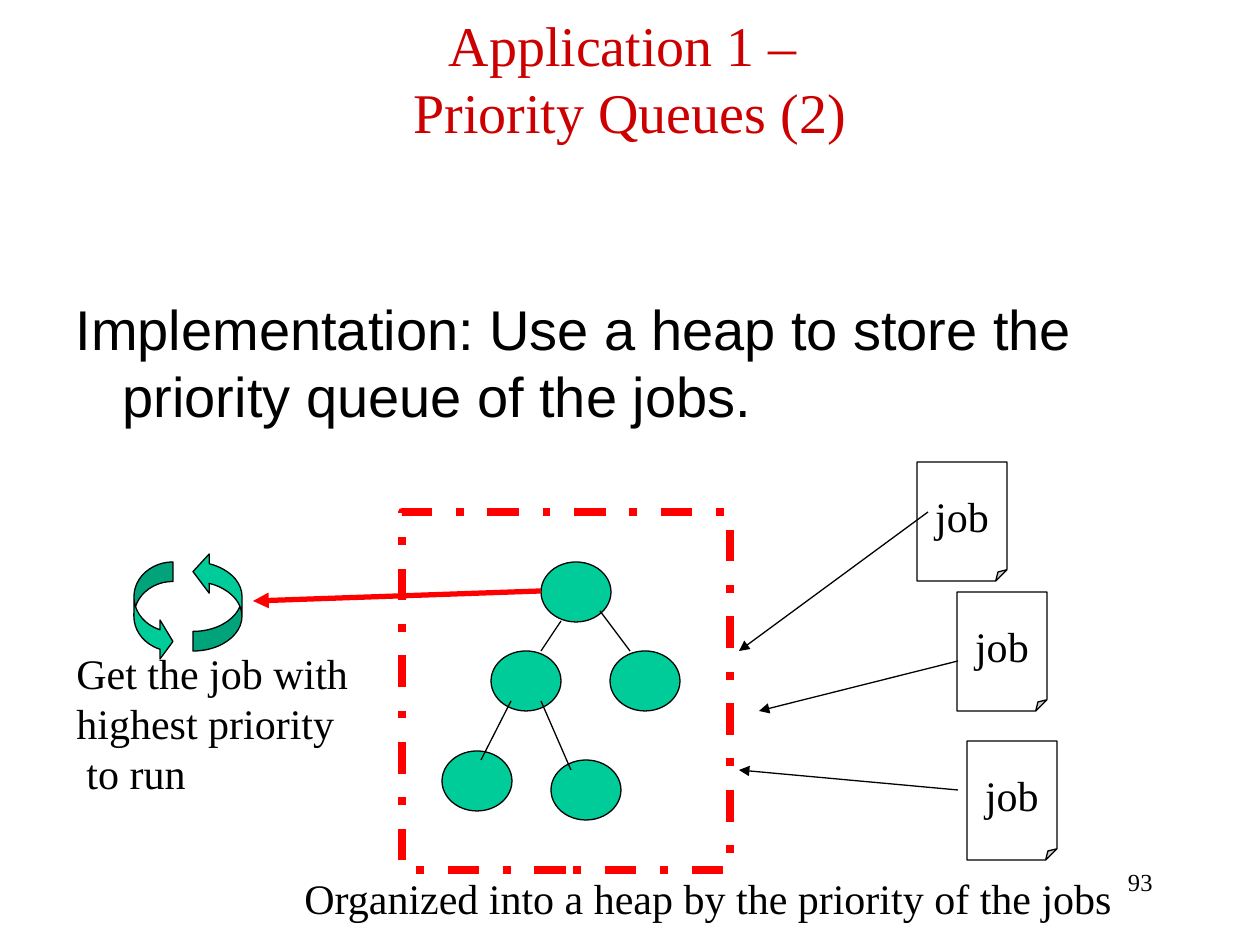
from lxml.etree import SubElement
from pptx import Presentation
from pptx.dml.color import RGBColor
from pptx.enum.dml import MSO_LINE
from pptx.enum.shapes import MSO_CONNECTOR, MSO_SHAPE as Shape
from pptx.enum.text import MSO_ANCHOR as Anchor, MSO_AUTO_SIZE as AutoSize, PP_ALIGN as Align
from pptx.oxml.ns import qn
from pptx.util import Emu, Pt

PX = 914400 / 126
BLACK = RGBColor(0, 0, 0)
WHITE = RGBColor(255, 255, 255)
RED = RGBColor(255, 0, 0)
TITLE_RED = RGBColor(204, 0, 0)
GREEN = RGBColor(0, 204, 153)
SERIF, SANS = "Times New Roman", "Arial"

NODE_SIZE = (70, 60)
NODES = [(541, 562), (491, 651), (610, 651), (442, 751), (551, 760)]
EDGES = [((561, 621), (541, 651)), ((600, 611), (630, 651)),
         ((511, 701), (481, 760)), ((541, 701), (571, 770))]
JOB_SIZE = (90, 119)
JOBS = [(917, 462), (957, 592), (967, 741)]
JOB_ARROWS = [((928, 512), (739, 651)), ((958, 661), (759, 711)),
              ((958, 790), (739, 770))]


def px(*lengths):
    return [Emu(round(length * PX)) for length in lengths]


def apply(target, values):
    for name, value in values.items():
        setattr(target, name, value)


def write(box, lines, size=24, font=SERIF, color=BLACK, align=Align.LEFT,
          anchor=Anchor.TOP, wrap=True):
    """Fill the text frame of a shape, one paragraph for each line."""
    frame = box.text_frame
    apply(frame, {"auto_size": AutoSize.NONE, "word_wrap": wrap,
                  "vertical_anchor": anchor})
    for index, line in enumerate(lines):
        para = frame.paragraphs[0] if index == 0 else frame.add_paragraph()
        para.text = line
        apply(para, {"alignment": align, "space_before": Pt(0)})
        for span in para.runs:
            apply(span.font, {"size": Pt(size), "name": font})
            span.font.color.rgb = color
    return frame


def indent(para, left, first=0):
    left, first = px(left, first)
    properties = para._p.get_or_add_pPr()
    properties.set("marL", str(left))
    properties.set("indent", str(first))
    return properties


def place(box, *area):
    apply(box, dict(zip(("left", "top", "width", "height"), px(*area))))


def add_label(page, area, lines, **style):
    return write(page.shapes.add_textbox(*px(*area)), lines, **style)


def add_figure(page, kind, area, fill=None, line=BLACK, weight=0.75):
    figure = page.shapes.add_shape(kind, *px(*area))
    figure.shadow.inherit = False
    if fill is None:
        figure.fill.background()
    else:
        figure.fill.solid()
        figure.fill.fore_color.rgb = fill
    figure.line.color.rgb = line
    figure.line.width = Pt(weight)
    return figure


def add_curved_arrow(page, area, adjustments):
    arrow = add_figure(page, Shape.CURVED_RIGHT_ARROW, area, GREEN)
    for index, value in enumerate(adjustments):
        arrow.adjustments[index] = value
    return arrow


def add_line(page, start, end, color=BLACK, weight=0.75, arrow=False):
    line = page.shapes.add_connector(MSO_CONNECTOR.STRAIGHT, *px(*start, *end))
    line.line.color.rgb = color
    line.line.width = Pt(weight)
    if arrow:
        SubElement(line.line._get_or_add_ln(), qn("a:tailEnd"), type="triangle")
    SubElement(line._element.spPr, qn("a:effectLst"))


def add_heading(page):
    title, body = page.placeholders
    place(title, 63, 30, 1134, 95)
    write(title, ["Application 1 – \vPriority Queues (2)"], size=32,
          color=TITLE_RED, align=Align.CENTER, anchor=Anchor.MIDDLE)
    place(body, 63, 288, 1053, 225)
    frame = write(body, ["Implementation: Use a heap to store the "
                         "priority queue of the jobs."], size=32, font=SANS)
    SubElement(indent(frame.paragraphs[0], 47, -47), qn("a:buNone"))


def add_jobs(page):
    for corner in JOBS:
        job = add_figure(page, Shape.FOLDED_CORNER, corner + JOB_SIZE, WHITE)
        guides = job._element.spPr.find(".//" + qn("a:avLst"))
        SubElement(guides, qn("a:gd"), name="adj", fmla="val 12500")
        write(job, ["job"], align=Align.CENTER, anchor=Anchor.MIDDLE, wrap=False)


def add_heap(page):
    for corner in NODES:
        add_figure(page, Shape.OVAL, corner + NODE_SIZE, GREEN)
    for start, end in EDGES:
        add_line(page, start, end)
    frame = add_figure(page, Shape.RECTANGLE, (402, 512, 328, 358),
                       line=RED, weight=4.5)
    frame.line.dash_style = MSO_LINE.DASH_DOT
    for start, end in JOB_ARROWS:
        add_line(page, start, end, arrow=True)
    add_label(page, (292, 866, 833, 63),
              ["Organized into a heap by the priority of the jobs"], wrap=False)


def add_runner(page):
    add_line(page, (541, 591), (253, 601), RED, 3, arrow=True)
    add_curved_arrow(page, (134, 562, 39, 99), [0.5, 1, 0.33])
    back = add_curved_arrow(page, (193, 552, 49, 99), [0.4, 0.8, 0.33])
    back.rotation = 180
    frame = add_label(page, (64, 641, 307, 164),
                      ["Get the job with", "highest priority", "to run"],
                      wrap=False)
    indent(frame.paragraphs[-1], 10)


def main():
    deck = Presentation()
    deck.slide_width, deck.slide_height = px(1260, 945)
    page = deck.slides.add_slide(deck.slide_layouts[1])
    add_heading(page)
    add_jobs(page)
    add_heap(page)
    add_runner(page)
    add_label(page, (903, 861, 262, 63), ["93"], size=14, align=Align.RIGHT)
    deck.save("out.pptx")


if __name__ == "__main__":
    main()
